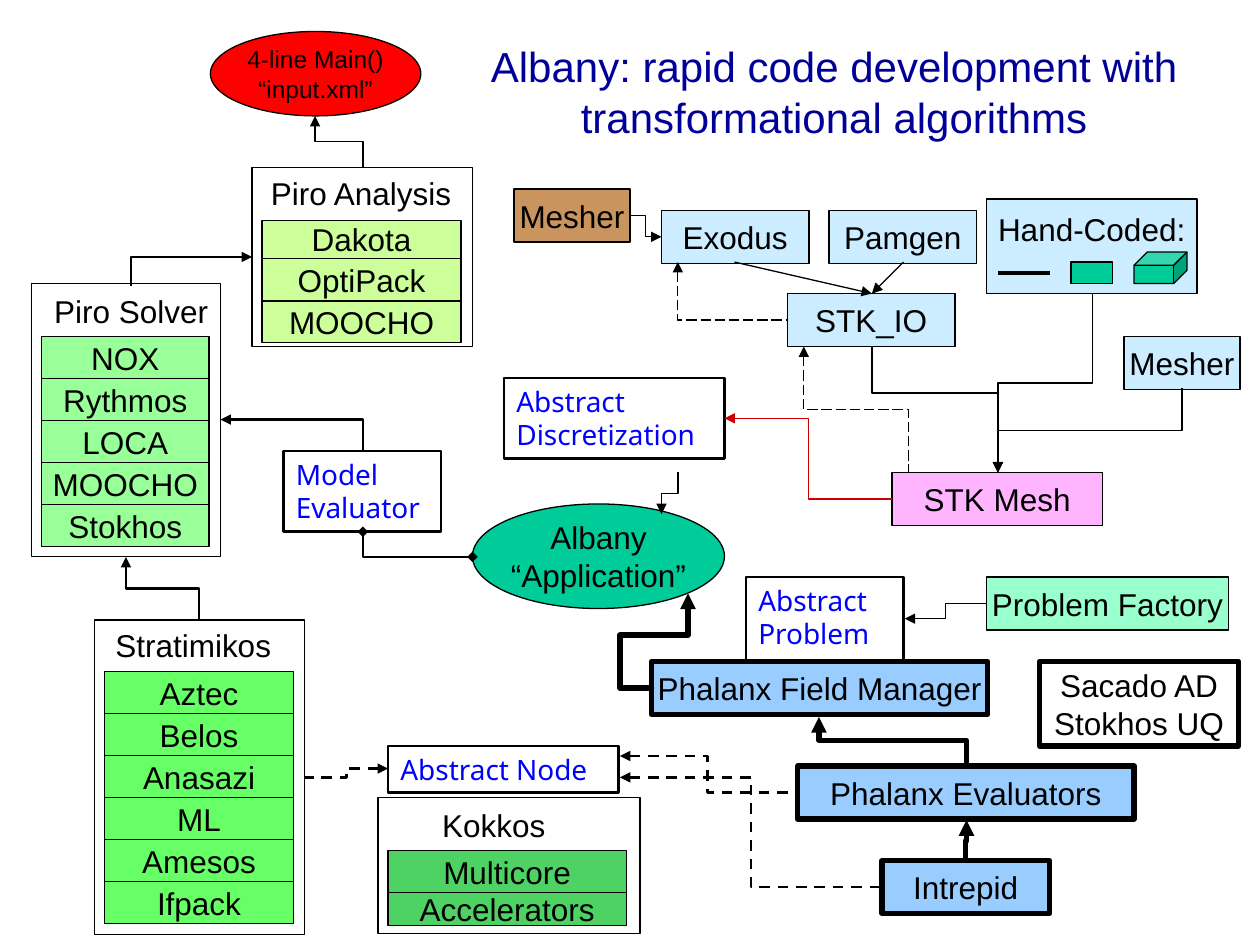
"""Build the Albany code architecture slide."""
from lxml import etree
from pptx import Presentation
from pptx.dml.color import RGBColor
from pptx.enum.dml import MSO_LINE
from pptx.enum.shapes import MSO_CONNECTOR, MSO_SHAPE
from pptx.enum.text import MSO_ANCHOR, PP_ALIGN
from pptx.oxml.ns import qn
from pptx.util import Inches, Pt

PROCESS, RECT = MSO_SHAPE.FLOWCHART_PROCESS, MSO_SHAPE.RECTANGLE
OVAL, CUBE = MSO_SHAPE.OVAL, MSO_SHAPE.CUBE
STRAIGHT, ELBOW = MSO_CONNECTOR.STRAIGHT, MSO_CONNECTOR.ELBOW
LEFT, CENTER, RIGHT = PP_ALIGN.LEFT, PP_ALIGN.CENTER, PP_ALIGN.RIGHT
TOP, MIDDLE = MSO_ANCHOR.TOP, MSO_ANCHOR.MIDDLE
DASH, LONG_DASH = MSO_LINE.DASH, MSO_LINE.LONG_DASH

BLACK = RGBColor(0x00, 0x00, 0x00)
NAVY = RGBColor(0x00, 0x00, 0x99)
BLUE = RGBColor(0x00, 0x00, 0xFF)
RED = RGBColor(0xFF, 0x00, 0x00)
CRIMSON = RGBColor(0xCC, 0x00, 0x00)
TEAL = RGBColor(0x00, 0xCC, 0x99)
MINT = RGBColor(0x99, 0xFF, 0xCC)
SKY = RGBColor(0x99, 0xCC, 0xFF)
ICE = RGBColor(0xCC, 0xEC, 0xFF)
PINK = RGBColor(0xFF, 0xB4, 0xFF)
BROWN = RGBColor(0xCA, 0x94, 0x5E)
LIME = RGBColor(0xCC, 0xFF, 0x99)
PALE_GREEN = RGBColor(0x99, 0xFF, 0x99)
GREEN = RGBColor(0x66, 0xFF, 0x66)
DEEP_GREEN = RGBColor(0x4E, 0xD2, 0x64)

THIN, MEDIUM, BOLD, THICK = 0.75, 1.5, 2.25, 3
ROW = 1 / 3

TITLE = "Albany: rapid code development with transformational algorithms"
TITLE_AREA = (3.58, 0.17, 6.08, 1.11)

# frame, caption, caption area, caption alignment, row fill, first row (left, top, width), rows
STACKS = [
    ((2, 1.33, 1.75, 1.42), "Piro Analysis", (1.92, 1.33, 1.76, 0.4), RIGHT, LIME, (2.08, 1.75, 1.58),
     [("Dakota", 0.3), ("OptiPack", 0.34), ("MOOCHO", 0.33)]),
    ((0.25, 2.25, 1.5, 2.17), "Piro Solver", (0.33, 2.27, 1.42, 0.4), RIGHT, PALE_GREEN, (0.33, 2.67, 1.33),
     [(name, ROW) for name in ("NOX", "Rythmos", "LOCA", "MOOCHO", "Stokhos")]),
    ((0.75, 4.92, 1.67, 2.5), "Stratimikos", (0.75, 4.92, 1.5, 0.4), RIGHT, GREEN, (0.83, 5.33, 1.5),
     [(name, ROW) for name in ("Aztec", "Belos", "Anasazi", "ML", "Amesos", "Ifpack")]),
    ((3, 6.33, 2.08, 1.08), "Kokkos", (3.17, 6.35, 1.5, 0.4), CENTER, DEEP_GREEN, (3.08, 6.75, 1.89),
     [("Multicore", ROW), ("Accelerators", 0.26)]),
]

NODES = [
    (OVAL, (1.67, 0.25, 1.67, 0.67), RED, THIN, ["4-line Main()", "“input.xml”"], 14),
    (OVAL, (3.75, 4, 2, 0.83), TEAL, THIN, ["Albany", "“Application”"], 18),
    (PROCESS, (4.08, 1.5, 0.92, 0.42), BROWN, THIN, ["Mesher"], 18),
    (PROCESS, (5.25, 1.67, 1.17, 0.42), ICE, THIN, ["Exodus"], 18),
    (PROCESS, (6.58, 1.67, 1.17, 0.42), ICE, THIN, ["Pamgen"], 18),
    (PROCESS, (6.25, 2.33, 1.33, 0.42), ICE, THIN, ["STK_IO"], 18),
    (PROCESS, (8.92, 2.67, 0.92, 0.42), ICE, THIN, ["Mesher"], 18),
    (PROCESS, (7.08, 3.75, 1.67, 0.42), PINK, THIN, ["STK Mesh"], 18),
    (RECT, (7.83, 4.58, 1.92, 0.42), MINT, THIN, ["Problem Factory"], 18),
    (PROCESS, (5.17, 5.25, 2.67, 0.42), SKY, THICK, ["Phalanx Field Manager"], 18),
    (PROCESS, (8.25, 5.25, 1.58, 0.67), None, THICK, ["Sacado AD", "Stokhos UQ"], 18),
    (PROCESS, (6.33, 6.08, 2.67, 0.42), SKY, THICK, ["Phalanx Evaluators"], 18),
    (PROCESS, (7, 6.83, 1.33, 0.42), SKY, THICK, ["Intrepid"], 18),
]

INTERFACES = [
    ((2.25, 3.58, 1.25, 0.64), ["Model", "Evaluator"]),
    ((4, 3, 1.75, 0.64), ["Abstract", "Discretization"]),
    ((5.92, 4.58, 1.25, 0.66), ["Abstract", "Problem"]),
    ((3.08, 5.92, 1.83, 0.37), ["Abstract Node"]),
]

HAND_CODED_AREA = (7.83, 1.58, 1.67, 0.75)
SAMPLE_LINE = ((7.92, 2.17), (8.33, 2.17))
SAMPLE_SQUARE = (8.5, 2.08, 0.33, 0.17)
SAMPLE_CUBE = (9, 2, 0.42, 0.25)

TO_END = {"tail": "triangle"}
TO_START = {"head": "triangle"}
BOTH_ENDS = {"head": "diamond", "tail": "diamond"}

STRAIGHT_ARROWS = [((7.17, 2.08), (6.92, 2.33)), ((5.83, 2.08), (6.92, 2.33))]

# start, end, first direction, width, arrowheads, further settings
ELBOWS = [
    ((2.5, 0.92), (2.88, 1.33), "down", THIN, TO_START, {}),
    ((1.04, 2.27), (2, 2.04), "down", MEDIUM, TO_END, {"bends": 2}),
    ((1.75, 3.33), (2.88, 3.58), "across", MEDIUM, TO_START, {"bends": 2}),
    ((3.75, 4.42), (2.88, 4.22), "across", MEDIUM, BOTH_ENDS, {"bends": 2}),
    ((1.58, 4.92), (1, 4.42), "down", MEDIUM, TO_END, {}),
    ((5, 1.71), (5.25, 1.88), "across", THIN, TO_END, {}),
    ((5.38, 2.08), (6.25, 2.54), "down", THIN, TO_START, {"bends": 2, "dash": LONG_DASH}),
    ((6.38, 2.75), (7.21, 3.75), "down", THIN, TO_START, {"dash": LONG_DASH}),
    ((6.92, 2.75), (7.92, 3.75), "down", THIN, TO_END, {"adjusts": (0.37,)}),
    ((8.67, 2.33), (7.92, 3.75), "down", THIN, TO_END, {}),
    ((9.38, 3.08), (7.92, 3.75), "down", THIN, TO_END, {}),
    ((7.08, 3.96), (5.75, 3.32), "across", THIN, TO_END, {"color": CRIMSON}),
    ((5.38, 3.75), (5.25, 4.08), "down", THIN, TO_END, {}),
    ((7.83, 4.79), (7.18, 4.91), "across", THIN, TO_END, {}),
    ((5.15, 5.46), (5.46, 4.71), "across", THICK, TO_END, {"bends": 4, "adjusts": (-0.74, 0.56)}),
    ((7.67, 6.06), (6.5, 5.69), "down", THICK, TO_END, {}),
    ((7.66, 6.84), (7.67, 6.51), "down", THICK, TO_END, {}),
    ((4.92, 6), (6.31, 6.29), "across", MEDIUM, TO_START, {"dash": DASH}),
    ((4.92, 6.17), (7, 7.04), "across", MEDIUM, TO_START, {"dash": DASH}),
    ((3.08, 6.1), (2.42, 6.17), "across", MEDIUM, TO_START, {"dash": DASH}),
]


def write(box, lines, size, color=BLACK, font="Arial", align=CENTER, anchor=MIDDLE, wrap=False):
    frame = box.text_frame
    frame.word_wrap, frame.vertical_anchor = wrap, anchor
    for index, line in enumerate(lines):
        para = frame.paragraphs[0] if index == 0 else frame.add_paragraph()
        para.alignment = align
        span = para.add_run()
        span.text = line
        span.font.size, span.font.name = Pt(size), font
        span.font.color.rgb = color


def draw_shape(page, kind, area, fill, width=THIN):
    shape = page.shapes.add_shape(kind, *map(Inches, area))
    shape.shadow.inherit = False
    if fill is None:
        shape.fill.background()
    else:
        shape.fill.solid()
        shape.fill.fore_color.rgb = fill
    shape.line.color.rgb, shape.line.width = BLACK, Pt(width)
    return shape


def draw_line(page, kind, start, end, width, heads, color=BLACK, dash=None):
    line = page.shapes.add_connector(kind, *map(Inches, (*start, *end)))
    line.line.color.rgb, line.line.width = color, Pt(width)
    if dash is not None:
        line.line.dash_style = dash
    properties = line._element.spPr
    for side, style in heads.items():
        etree.SubElement(properties.find(qn("a:ln")), qn(f"a:{side}End"), type=style)
    etree.SubElement(properties, qn("a:effectLst"))
    return properties


def draw_elbow(page, start, end, direction, width, heads, bends=3, adjusts=(), **style):
    """Turn the frame so that the first segment leaves in the given direction."""
    (x1, y1), (x2, y2) = start, end
    dx, dy = x2 - x1, y2 - y1
    mid_x, mid_y = (x1 + x2) / 2, (y1 + y2) / 2
    forward = dx > 0 and dy > 0
    if direction == "across":
        turn = 0 if forward else 180
    else:
        turn = 270 if forward else 90
    across, down = {0: (dx, dy), 90: (dy, -dx), 180: (-dx, -dy), 270: (-dy, dx)}[turn]
    properties = draw_line(page, ELBOW, (mid_x - across / 2, mid_y - down / 2),
                           (mid_x + across / 2, mid_y + down / 2), width, heads, **style)
    if turn:
        properties.find(qn("a:xfrm")).set("rot", str(turn * 60000))
    geometry = properties.find(qn("a:prstGeom"))
    geometry.set("prst", f"bentConnector{bends}")
    for number, value in enumerate(adjusts, 1):
        etree.SubElement(geometry.find(qn("a:avLst")), qn("a:gd"),
                         name=f"adj{number}", fmla=f"val {round(value * 100000)}")


def draw_stack(page, frame, caption, caption_area, align, fill, first_row, rows):
    left, top, width = first_row
    for name, height in rows:
        write(draw_shape(page, PROCESS, (left, top, width, height), fill), [name], 18)
        top += height
    draw_shape(page, RECT, frame, None)
    box = page.shapes.add_textbox(*map(Inches, caption_area))
    write(box, [caption], 18, align=align, anchor=TOP, wrap=True)


def main():
    deck = Presentation()
    deck.slide_width, deck.slide_height = Inches(10), Inches(7.5)
    page = deck.slides.add_slide(deck.slide_layouts[5])
    title = page.shapes.title
    title.left, title.top, title.width, title.height = map(Inches, TITLE_AREA)
    write(title, [TITLE], 24, NAVY, wrap=True)

    for stack in STACKS:
        draw_stack(page, *stack)
    for area, lines in INTERFACES:
        write(draw_shape(page, RECT, area, None, MEDIUM), lines, 16, BLUE, "Noto Sans", LEFT, TOP, True)
    for kind, area, fill, width, lines, size in NODES:
        write(draw_shape(page, kind, area, fill, width), lines, size)

    hand_coded = draw_shape(page, PROCESS, HAND_CODED_AREA, ICE)
    hand_coded.text_frame.margin_top = Inches(0.09)
    write(hand_coded, ["Hand-Coded:"], 18, anchor=TOP)
    draw_line(page, STRAIGHT, *SAMPLE_LINE, BOLD, {})
    draw_shape(page, RECT, SAMPLE_SQUARE, TEAL)
    draw_shape(page, CUBE, SAMPLE_CUBE, TEAL).adjustments[0] = 0.42

    for start, end in STRAIGHT_ARROWS:
        draw_line(page, STRAIGHT, start, end, THIN, TO_END)
    for start, end, direction, width, heads, settings in ELBOWS:
        draw_elbow(page, start, end, direction, width, heads, **settings)
    deck.save("out.pptx")


if __name__ == "__main__":
    main()
